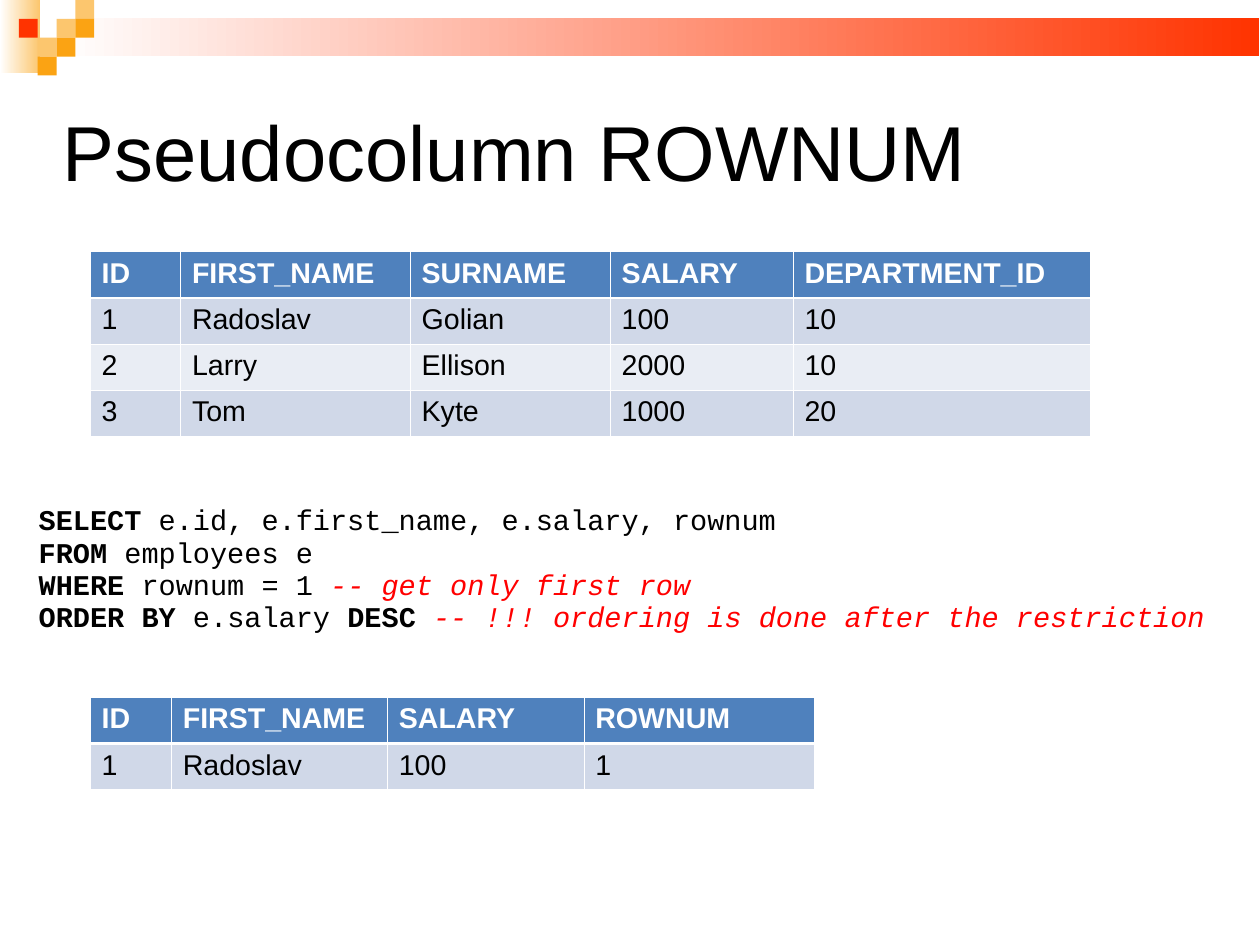
import pptx
import pptx.dml.color
import pptx.enum.shapes
import pptx.enum.text
import pptx.oxml
import pptx.oxml.ns
import pptx.util

Inches, Pt = pptx.util.Inches, pptx.util.Pt
RGBColor = pptx.dml.color.RGBColor

BLACK = RGBColor(0x00, 0x00, 0x00)
WHITE = RGBColor(0xFF, 0xFF, 0xFF)
RED = RGBColor(0xFF, 0x00, 0x00)
SCARLET = RGBColor(0xFF, 0x33, 0x00)
ORANGE = RGBColor(0xFB, 0xA3, 0x13)
PEACH = RGBColor(0xFC, 0xC6, 0x6E)
HEADER_BLUE = RGBColor(0x4F, 0x81, 0xBD)
BANDS = (RGBColor(0xD0, 0xD8, 0xE8), RGBColor(0xE9, 0xED, 0xF4))

TITLE = "Pseudocolumn ROWNUM"
EMPLOYEES = [
    ("ID", "FIRST_NAME", "SURNAME", "SALARY", "DEPARTMENT_ID"),
    ("1", "Radoslav", "Golian", "100", "10"),
    ("2", "Larry", "Ellison", "2000", "10"),
    ("3", "Tom", "Kyte", "1000", "20"),
]
RESULT = [
    ("ID", "FIRST_NAME", "SALARY", "ROWNUM"),
    ("1", "Radoslav", "100", "1"),
]
QUERY = [
    [("SELECT ", "keyword"), ("e.id, e.first_name, e.salary, rownum", "plain")],
    [("FROM", "keyword"), (" employees e", "plain")],
    [("WHERE ", "keyword"), ("rownum = 1 ", "plain"),
     ("-- get only first row", "comment")],
    [("ORDER BY ", "keyword"), ("e.salary ", "plain"), ("DESC ", "keyword"),
     ("-- !!! ordering is done after the restriction", "comment")],
]
TABLES = [
    (EMPLOYEES, 2.2, (0.79, 2.01, 1.75, 1.6, 2.6)),
    (RESULT, 6.1, (0.71, 1.89, 1.72, 2.02)),
]
FADES = [((0, 0, 0.35, 0.64), PEACH), ((0.5, 0.16, 10.52, 0.33), SCARLET)]
MOSAIC = [(3, 1, PEACH), (4, 0, PEACH), (4, 1, ORANGE), (2, 2, PEACH),
          (1, 1, SCARLET), (3, 2, ORANGE), (2, 3, ORANGE)]
TILE = 0.66 / 4
TABLE_LEFT, ROW_HEIGHT = 0.79, 1.62 / 4
THIN, THICK = 0.45, 1.47


def add_block(slide, place):
    """Add a rectangle without outline or shadow."""
    block = slide.shapes.add_shape(pptx.enum.shapes.MSO_SHAPE.RECTANGLE,
                                   *map(Inches, place))
    block.shadow.inherit = False
    block.line.fill.background()
    return block


def add_run(paragraph, text, font, size, color, bold=False, italic=False):
    """Append one formatted run to a paragraph."""
    run = paragraph.add_run()
    run.text = text
    run.font.name, run.font.size = font, Pt(size)
    run.font.bold, run.font.italic = bold, italic
    run.font.color.rgb = color


def set_borders(cell, widths):
    """Draw white cell borders, with widths keyed by side."""
    for side, width in widths.items():
        cell._tc.get_or_add_tcPr().append(pptx.oxml.parse_xml(
            f'<a:ln{side} {pptx.oxml.ns.nsdecls("a")} w="{int(Pt(width))}">'
            f'<a:solidFill><a:srgbClr val="{WHITE}"/></a:solidFill></a:ln{side}>'))


def add_records(slide, records, top, widths):
    """Add a table with a blue header and banded rows."""
    table = slide.shapes.add_table(
        len(records), len(widths), Inches(TABLE_LEFT), Inches(top),
        Inches(sum(widths)), Inches(ROW_HEIGHT * len(records))).table
    for column, width in zip(table.columns, widths):
        column.width = Inches(width)
    for r, record in enumerate(records):
        header = r == 0
        table.rows[r].height = Inches(ROW_HEIGHT)
        for c, value in enumerate(record):
            cell = table.cell(r, c)
            set_borders(cell, {"L": THIN, "R": THIN,
                               "T": THICK if r == 1 else THIN,
                               "B": THICK if header else THIN})
            cell.fill.solid()
            cell.fill.fore_color.rgb = HEADER_BLUE if header else BANDS[(r - 1) % 2]
            add_run(cell.text_frame.paragraphs[0], value, "Arial", 18,
                    WHITE if header else BLACK, bold=header)


def add_title(slide):
    """Place and format the slide title."""
    title = slide.shapes.title
    title.left, title.top, title.width, title.height = map(
        Inches, (0.55, 0.55, 9.92, 1.65))
    frame = title.text_frame
    frame.auto_size = pptx.enum.text.MSO_AUTO_SIZE.NONE
    frame.vertical_anchor = pptx.enum.text.MSO_ANCHOR.MIDDLE
    frame.margin_left = frame.margin_right = 0
    frame.margin_top = frame.margin_bottom = 0
    heading = frame.paragraphs[0]
    heading.alignment = pptx.enum.text.PP_ALIGN.LEFT
    heading.line_spacing = 0.87
    add_run(heading, TITLE, "Arial", 49, BLACK)


def add_query(slide):
    """Add the SQL statement, one paragraph per line."""
    frame = slide.shapes.add_textbox(
        *map(Inches, (0.24, 4.37, 10.47, 1.23))).text_frame
    frame.word_wrap = True
    frame.auto_size = pptx.enum.text.MSO_AUTO_SIZE.SHAPE_TO_FIT_TEXT
    for i, line in enumerate(QUERY):
        paragraph = frame.add_paragraph() if i else frame.paragraphs[0]
        paragraph.line_spacing = 0.94
        for text, role in line:
            add_run(paragraph, text, "Courier New", 18,
                    RED if role == "comment" else BLACK,
                    bold=role == "keyword", italic=role == "comment")


def main():
    """Build the slide and save it."""
    deck = pptx.Presentation()
    deck.slide_width, deck.slide_height = Pt(793.75), Pt(595.25)
    slide = deck.slides.add_slide(deck.slide_layouts[5])
    for place, color in FADES:
        fade = add_block(slide, place).fill
        fade.gradient()
        fade.gradient_angle = 0
        for stop, shade in zip(fade.gradient_stops, (WHITE, color)):
            stop.color.rgb = shade
    for column, row, color in MOSAIC:
        tile = add_block(slide, (column * TILE, row * TILE, TILE, TILE))
        tile.fill.solid()
        tile.fill.fore_color.rgb = color
    add_title(slide)
    for records, top, widths in TABLES:
        add_records(slide, records, top, widths)
    add_query(slide)
    deck.save("out.pptx")


if __name__ == "__main__":
    main()
